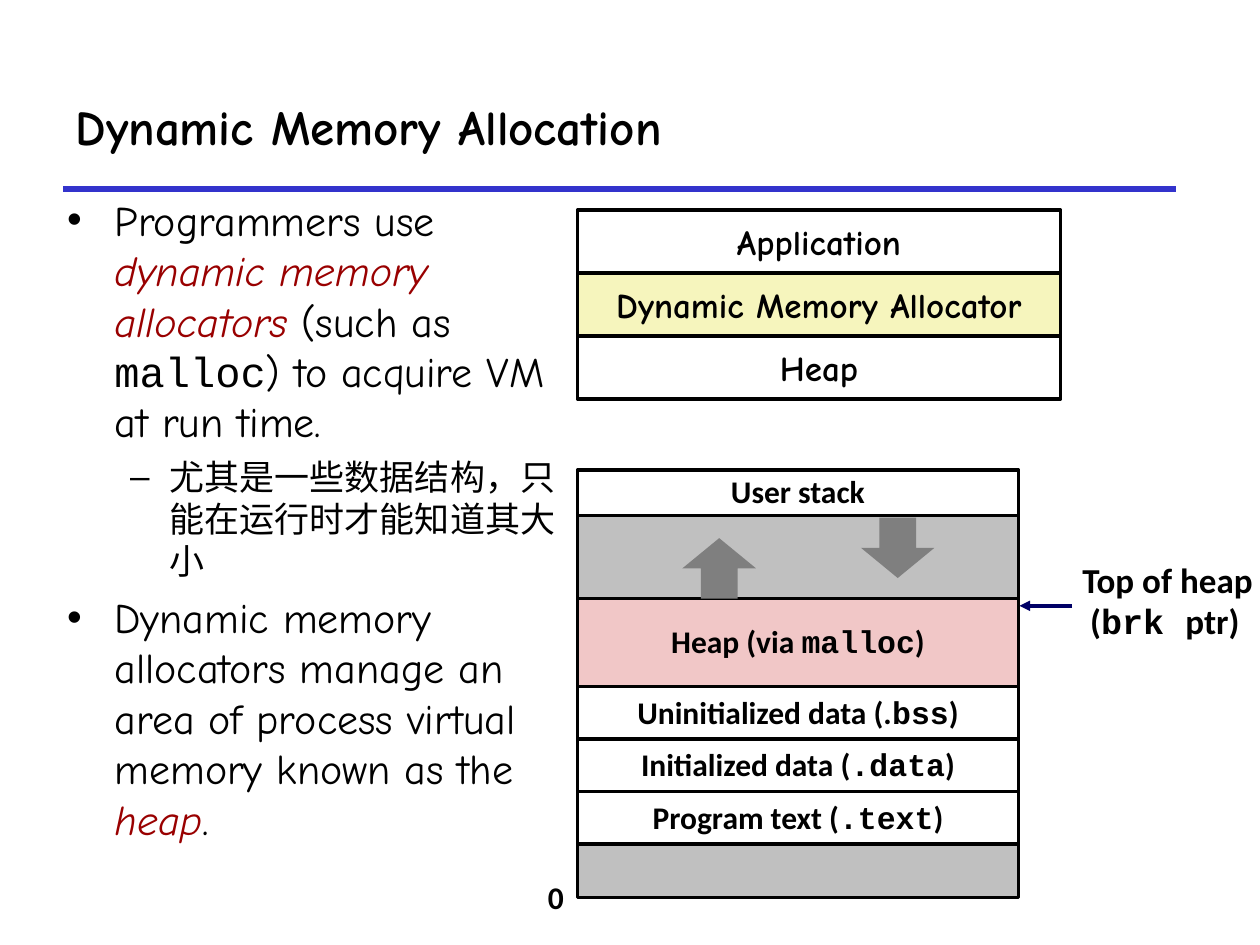
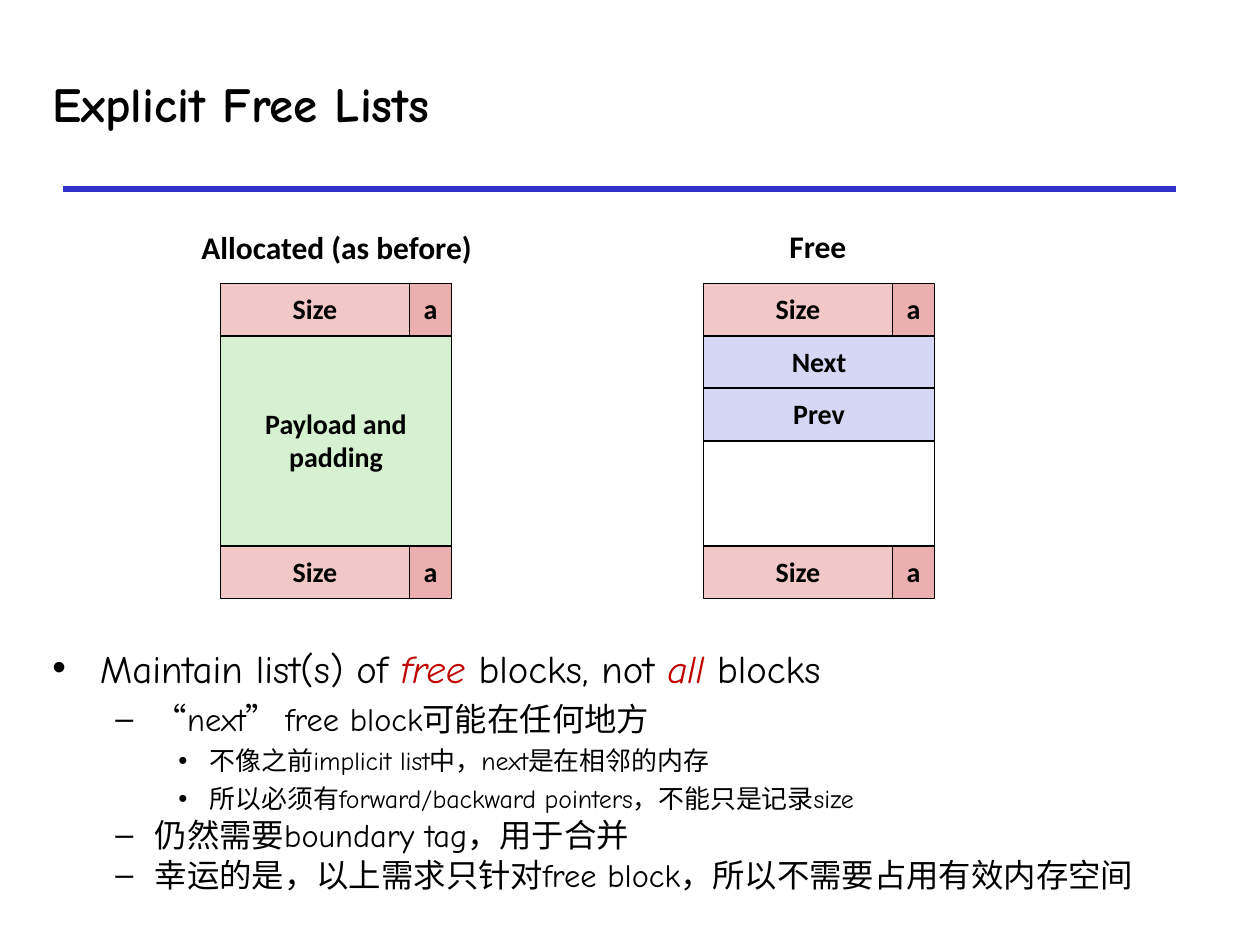
from itertools import pairwise

from lxml.etree import SubElement
from pptx import Presentation
from pptx.dml.color import RGBColor
from pptx.enum.shapes import MSO_CONNECTOR, MSO_SHAPE
from pptx.enum.text import MSO_ANCHOR, MSO_AUTO_SIZE, PP_ALIGN
from pptx.oxml.ns import qn
from pptx.util import Inches, Pt

HAND, SANS, CODE = "Comic Neue", "Calibri", "Courier New"
BLACK, WHITE, GREY, DARK_GREY = "000000", "FFFFFF", "C0C0C0", "7F7F7F"
BLUE, NAVY = "3333CC", "000066"
PINK, ROSE, YELLOW, GREEN, LILAC = "F1C7C7", "EBAFAF", "F6F5BD", "D5F1CF", "D6D6F5"
TIGHT = 0.98


def color(hex_text):
    """Turn a hex string into a colour."""
    return RGBColor.from_string(hex_text)


def grid(*cells):
    """Turn grid cells, twelve to the inch, into lengths."""
    return [Inches(cell / 12) for cell in cells]


def code(text):
    """Mark a span as code."""
    return text, "code"


def key(text):
    """Mark a span as a key term."""
    return text, "key"


class Board:
    """Hold the shared style and the page being drawn."""

    def __init__(self, deck, accent):
        """Add a page whose key terms take the accent colour."""
        self.page = deck.slides.add_slide(deck.slide_layouts[1])
        self.accent = accent

    def compose(self, para, spans, size, font=SANS, bold=True, spacing=None, align=None):
        """Set plain and marked spans in one paragraph."""
        para.alignment, para.line_spacing = align, spacing
        para.font.name, para.font.size, para.font.bold = font, Pt(size), bold
        para.font.color.rgb = color(BLACK)
        for item in [spans] if isinstance(spans, str) else spans:
            text, mark = (item, None) if isinstance(item, str) else item
            span = para.add_run()
            span.text = text
            if mark == "code":
                span.font.name = CODE
            elif mark == "key":
                span.font.italic = True
                span.font.color.rgb = color(self.accent)

    def lines(self, frame, paras, size, **style):
        """Fill a frame with paragraphs of one style."""
        for number, spans in enumerate(paras):
            para = frame.add_paragraph() if number else frame.paragraphs[0]
            self.compose(para, spans, size, **style)

    def place(self, holder, area):
        """Move a placeholder to an area of the grid."""
        holder.left, holder.top, holder.width, holder.height = grid(*area)
        holder.text_frame.auto_size = MSO_AUTO_SIZE.NONE
        return holder.text_frame

    def title(self, text, area, spacing=None):
        """Set the page title."""
        frame = self.place(self.page.shapes.title, area)
        self.compose(frame.paragraphs[0], text, 28, HAND, spacing=spacing, align=PP_ALIGN.LEFT)

    def bullets(self, items, area, sizes):
        """Fill the body with (level, spans, line spacing) items."""
        frame = self.place(self.page.placeholders[1], area)
        for number, (level, spans, spacing) in enumerate(items):
            para = frame.add_paragraph() if number else frame.paragraphs[0]
            para.level = level
            para.space_before = Pt(6 - level if number else 0)
            self.compose(para, spans, sizes[level], HAND, bold=False, spacing=spacing)

    def shape(self, area, fill, outline=None, kind=MSO_SHAPE.RECTANGLE):
        """Draw a filled preset shape."""
        shape = self.page.shapes.add_shape(kind, *grid(*area))
        shape.shadow.inherit = False
        shape.fill.solid()
        shape.fill.fore_color.rgb = color(fill)
        if outline:
            shape.line.color.rgb = color(BLACK)
            shape.line.width = Pt(outline)
        else:
            shape.line.fill.background()
        return shape

    def cell(self, area, fill, outline, paras=(), size=18, font=SANS, spacing=TIGHT):
        """Draw an outlined rectangle with centred lines."""
        frame = self.shape(area, fill, outline).text_frame
        frame.word_wrap = False
        frame.vertical_anchor = MSO_ANCHOR.MIDDLE
        self.lines(frame, paras, size, font=font, spacing=spacing, align=PP_ALIGN.CENTER)

    def label(self, area, paras, size=18, spacing=None):
        """Add a bold label."""
        frame = self.page.shapes.add_textbox(*grid(*area)).text_frame
        frame.word_wrap = False
        frame.auto_size = MSO_AUTO_SIZE.SHAPE_TO_FIT_TEXT
        self.lines(frame, paras, size, spacing=spacing)

    def line(self, ends, stroke, width, arrow=False):
        """Draw a straight line, with an arrowhead if asked."""
        line = self.page.shapes.add_connector(MSO_CONNECTOR.STRAIGHT, *grid(*ends))
        line.line.color.rgb = color(stroke)
        line.line.width = Pt(width)
        if arrow:
            SubElement(line.element.spPr.get_or_add_ln(), qn("a:tailEnd"), type="triangle")
        SubElement(line.element.spPr, qn("a:effectLst"))
        return line


def draw_allocation(board):
    """Draw the allocator layers and the process memory map."""
    board.title("Dynamic Memory Allocation", (6, 6, 106, 12))
    board.bullets([
        (0, ["Programmers use ", key("dynamic memory allocators "), "(such as ",
             code("malloc"), ") to acquire VM at run time."], None),
        (1, "尤其是一些数据结构，只能在运行时才能知道其大小", None),
        (0, ["Dynamic memory allocators manage an area of process virtual memory known as the ",
             key("heap"), "."], None),
    ], (5.2, 17.9, 49.7, 65.3), (24, 20))

    layers = [("Application", WHITE), ("Dynamic Memory Allocator", YELLOW), ("Heap", WHITE)]
    for number, (name, fill) in enumerate(layers):
        board.cell((55, 20 + 6 * number, 46, 6), fill, 2, [name], 20, HAND, None)

    regions = [
        (44.75, WHITE, ["User stack"]),
        (49.1, GREY, None),
        (57, PINK, ["Heap (via ", code("malloc"), ")"]),
        (65.4, WHITE, ["Uninitialized data (.", code("bss"), ")"]),
        (70.4, WHITE, ["Initialized data (", code(".data"), ")"]),
        (75.4, WHITE, ["Program text (", code(".text"), ")"]),
        (80.4, GREY, None),
        (85.5, None, None),
    ]
    for (top, fill, name), (bottom, *_) in pairwise(regions):
        board.cell((55, top, 42, bottom - top), fill, 2, [name] if name else ())

    board.shape((82, 49.3, 7, 5.75), DARK_GREY, kind=MSO_SHAPE.DOWN_ARROW)
    board.shape((65, 51.25, 7, 5.75), DARK_GREY, kind=MSO_SHAPE.UP_ARROW)
    board.label((51, 83.2, 3.8, 4.8), ["0"], spacing=TIGHT)
    board.label((101.9, 52.8, 18.8, 9.1), ["Top of heap", [" (", code("brk "), "ptr)"]],
                20, TIGHT)
    board.line((102.1, 57.7, 97.1, 57.7), NAVY, 2, arrow=True)


def draw_block(board, left, middle):
    """Draw one heap block: a header, its middle fields and a footer."""
    for top in (27, 52):
        board.cell((left, top, 18, 5), PINK, 1, ["Size"], 16)
        board.cell((left + 18, top, 4, 5), ROSE, 1, ["a"], 16)
    top = 32
    for paras, height, fill in middle:
        board.cell((left, top, 22, height), fill, 1, paras, 16)
        top += height


def draw_free_lists(board):
    """Draw allocated and free blocks above the notes on them."""
    board.title("Explicit Free Lists", (3.8, 6.4, 79.7, 7.6), 0.87)
    board.bullets([
        (0, ["Maintain list(s) of ", key("free"), " blocks, not ", key("all"), " blocks"], 0.75),
        (1, "“next” free block可能在任何地方", None),
        (2, "不像之前implicit list中，next是在相邻的内存", None),
        (2, "所以必须有forward/backward pointers，不能只是记录size", None),
        (1, "仍然需要boundary tag，用于合并", 0.8),
        (1, "幸运的是，以上需求只针对free block，所以不需要占用有效内存空间", 0.8),
    ], (3.8, 61.8, 117.2, 24.2), (22.2, 18.5, 14.8))
    draw_block(board, 21, [(["Payload and", "padding"], 20, GREEN)])
    draw_block(board, 67, [(["Next"], 5, LILAC), (["Prev"], 5, LILAC), ((), 10, WHITE)])
    board.label((18, 21.1, 28.3, 4.8), ["Allocated (as before)"])
    board.label((74, 21, 7.8, 4.8), ["Free"])


def main():
    """Build and save the deck."""
    deck = Presentation()
    deck.slide_width, deck.slide_height = grid(120, 90)
    allocation = Board(deck, "990000")
    rule = allocation.line((6, 18, 112, 18), BLUE, 3)
    deck.slide_master.shapes.element.append(rule.element)
    draw_allocation(allocation)
    draw_free_lists(Board(deck, "C00000"))
    deck.save("out.pptx")


if __name__ == "__main__":
    main()
